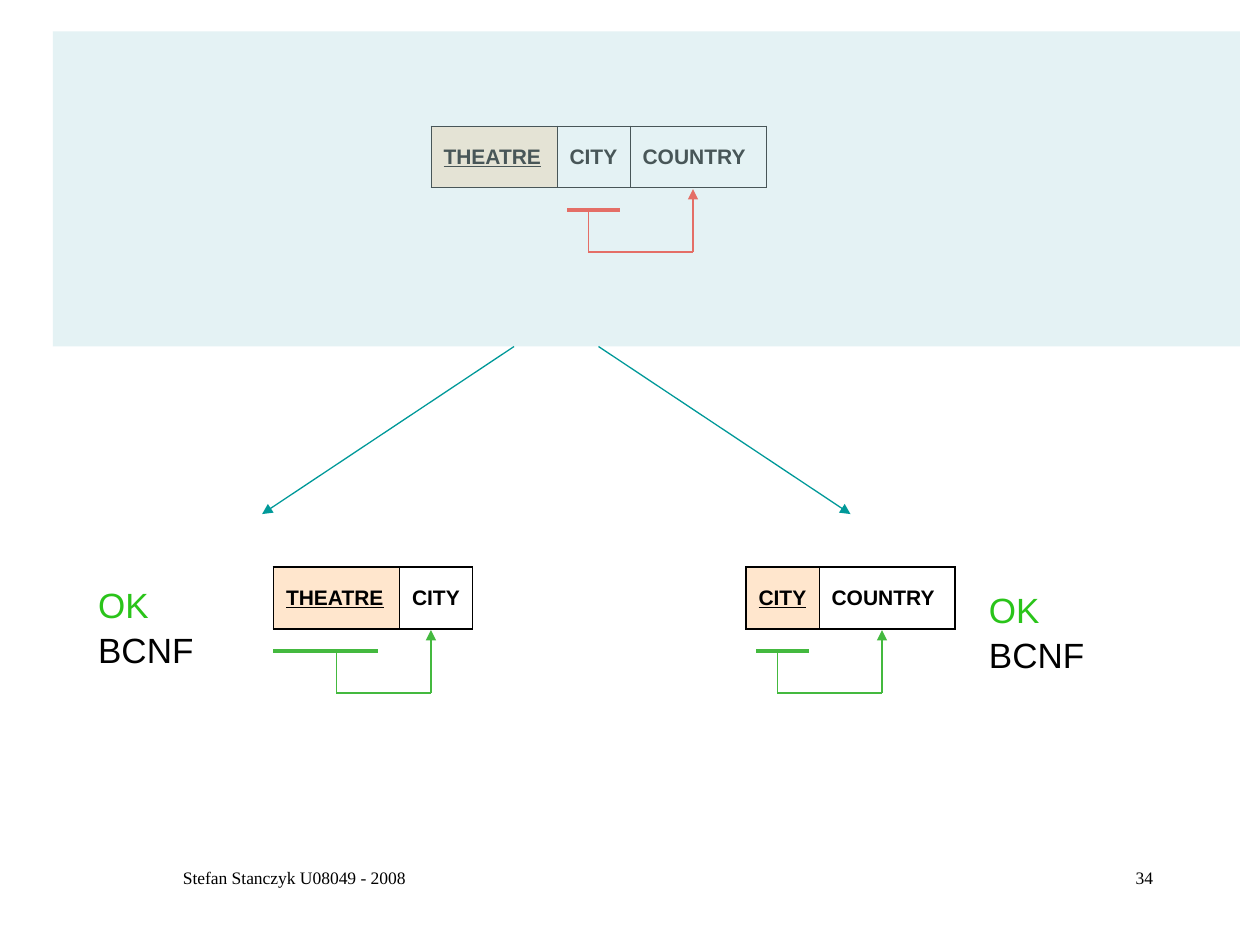
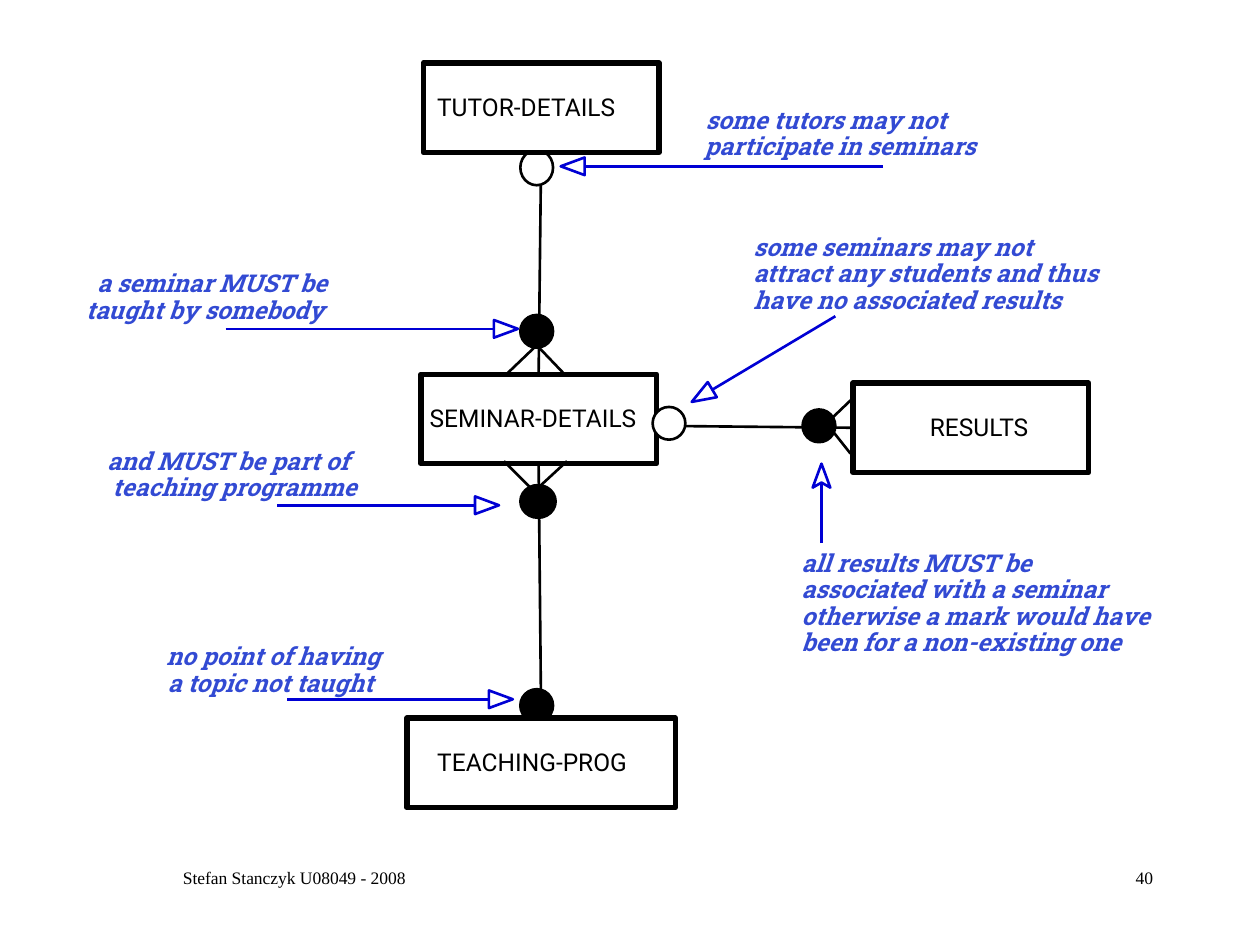
"""Build two database-design slides: a BCNF decomposition and an annotated entity diagram."""
from dataclasses import dataclass
from math import hypot

from pptx import Presentation
from pptx.dml.color import RGBColor
from pptx.enum.shapes import MSO_CONNECTOR as Link, MSO_SHAPE as Shape
from pptx.enum.text import MSO_ANCHOR as Anchor, MSO_AUTO_SIZE as AutoSize, PP_ALIGN as Align
from pptx.oxml.ns import qn
from pptx.util import Inches, Pt
from lxml.etree import SubElement


@dataclass(frozen=True)
class Theme:
    black: str = "000000"
    white: str = "FFFFFF"
    key_fill: str = "FFE6CD"
    broken: str = "FF2718"
    valid: str = "44B93F"
    ok: str = "2AC41A"
    band: str = "BBE0E3"
    split: str = "009999"
    arrow: str = "0000D4"
    note: str = "324AD3"
    thin: float = 0.75
    medium: float = 1.5
    bar: float = 2.25
    frame: float = 3.12
    inner: float = 0.45
    outer: float = 1.08


THEME = Theme()
FOOTER_FONT = {"name": "Times New Roman", "size": 10, "color": THEME.black}
COLUMN_FONT = {"name": "Arial", "size": 12, "bold": True, "color": THEME.black}
OK_FONT = {"name": "Arial", "size": 20, "color": THEME.ok}
GAP_FONT = {"name": "Times New Roman", "size": 28, "color": THEME.valid}
BCNF_FONT = {"name": "Arial", "size": 20, "color": THEME.black}
ENTITY_FONT = {"name": "Roboto", "size": 14, "color": THEME.black}
NOTE_FONT = {"name": "Roboto Slab", "size": 14, "bold": True, "italic": True, "color": THEME.note}

FOOTER = "Stefan Stanczyk U08049 - 2008"
COLUMN_WIDTHS = {"THEATRE": 1, "CITY": 0.58, "COUNTRY": 1.08}
SOURCE_RELATION = {"left": 3.42, "top": 1, "columns": ["THEATRE", "CITY", "COUNTRY"],
                   "bar": (4.5, 4.92), "stem": 4.67, "target": 5.5,
                   "color": THEME.broken, "outer": THEME.inner}
SPLIT_RELATIONS = [
    {"left": 2.17, "top": 4.5, "columns": ["THEATRE", "CITY"],
     "bar": (2.17, 3), "stem": 2.67, "target": 3.42, "color": THEME.valid, "outer": THEME.outer},
    {"left": 5.92, "top": 4.5, "columns": ["CITY", "COUNTRY"],
     "bar": (6, 6.42), "stem": 6.17, "target": 7, "color": THEME.valid, "outer": THEME.outer},
]
VERDICT_RUNS = [("OK", OK_FONT), (" ", GAP_FONT), ("BCNF", BCNF_FONT)]
VERDICT_PLACES = [(7.75, 4.51), (0.68, 4.47)]
SPLIT_ARROWS = [((4.08, 2.75), (2.08, 4.08)), ((4.75, 2.75), (6.75, 4.08))]

SEMINAR = ("SEMINAR-DETAILS", (3.34, 2.97, 1.87, 0.71), 0.07)
OTHER_ENTITIES = [
    ("RESULTS", (6.77, 3.04, 1.87, 0.71), 0.61),
    ("TEACHING-PROG", (3.23, 5.7, 2.13, 0.71), 0.24),
    ("TUTOR-DETAILS", (3.36, 0.5, 1.87, 0.71), 0.11),
]
RELATIONSHIPS = [
    {"start": (4.26, 1.21), "end": (4.26, 2.97),
     "begin_connect": ("TUTOR-DETAILS", 2), "end_connect": ("SEMINAR-DETAILS", 0)},
    {"start": (4.26, 3.68), "end": (4.26, 5.7),
     "begin_connect": ("SEMINAR-DETAILS", 2), "end_connect": ("TEACHING-PROG", 0)},
    {"start": (6.77, 3.38), "end": (5.25, 3.38), "begin_connect": ("RESULTS", 1)},
]
CROWS_FEET = [
    ((4.26, 2.74), [(4.02, 2.97), (4.48, 2.97)]),
    ((4.24, 3.9), [(4, 3.66), (4.5, 3.66)]),
    ((6.56, 3.36), [(6.75, 3.6), (6.8, 3.13)]),
]
OPTIONAL_ENDS = [(5.18, 3.23, 0.26, 0.26), (4.13, 1.19, 0.26, 0.28)]
MANDATORY_ENDS = [(6.37, 3.25, 0.26, 0.26), (4.13, 2.5, 0.26, 0.26),
                  (4.13, 3.85, 0.28, 0.26), (4.13, 5.47, 0.26, 0.26)]
NOTE_PITCH = 0.21
NOTES = [
    {"top": 0.83, "tail": (7.01, 1.32), "tip": (4.45, 1.32), "lines": [
        ("some tutors may not", 5.6, 2.11), ("participate in seminars", 5.59, 2.44)]},
    {"top": 5.09, "tail": (2.28, 5.55), "tip": (4.07, 5.55), "lines": [
        ("no point of having", 1.32, 1.89), ("a topic not taught", 1.33, 1.88)]},
    {"top": 3.54, "tail": (2.2, 4.01), "tip": (3.96, 4.01), "lines": [
        ("and MUST be part of", 0.85, 2.12), ("teaching programme", 0.89, 2.15)]},
    {"top": 1.84, "tail": (6.63, 2.51), "tip": (5.49, 3.19), "lines": [
        ("some seminars may not", 5.98, 2.43), ("attract any students and thus", 5.98, 3.19),
        ("have no associated results", 5.98, 2.75)]},
    {"top": 4.35, "tail": (6.52, 4.31), "tip": (6.52, 3.68), "notch": 0.15, "lines": [
        ("all results MUST be", 6.36, 2), ("associated with a seminar", 6.36, 2.74),
        ("otherwise a mark would have", 6.36, 3.13), ("been for a non-existing one", 6.36, 2.78)]},
    {"top": 2.13, "tail": (1.79, 2.61), "tip": (4.11, 2.61), "lines": [
        ("a seminar MUST be", 0.77, 2.05), ("taught by somebody", 0.68, 2.06)]},
]


def rgb(color):
    return RGBColor.from_string(color)


def write(paragraph, text, style, **extra):
    run = paragraph.add_run()
    run.text = text
    for attribute, value in {**style, **extra}.items():
        if attribute == "color":
            run.font.color.rgb = rgb(value)
        else:
            setattr(run.font, attribute, Pt(value) if attribute == "size" else value)


def set_insets(frame, left, top, right, bottom):
    insets = {"margin_left": left, "margin_top": top, "margin_right": right, "margin_bottom": bottom}
    for attribute, value in insets.items():
        setattr(frame, attribute, Inches(value))


def add_text(slide, place, runs, align=Align.LEFT, wrap=True, padded=True):
    frame = slide.shapes.add_textbox(*map(Inches, place)).text_frame
    frame.word_wrap = wrap
    if not wrap:
        frame.auto_size = AutoSize.SHAPE_TO_FIT_TEXT
    if not padded:
        set_insets(frame, 0, 0, 0, 0)
    paragraph = frame.paragraphs[0]
    paragraph.alignment = align
    for text, style in runs:
        write(paragraph, text, style)


def paint(shape, fill, line=None, width=THEME.medium):
    shape.shadow.inherit = False
    shape.fill.solid()
    shape.fill.fore_color.rgb = rgb(fill)
    if line:
        shape.line.color.rgb = rgb(line)
        shape.line.width = Pt(width)
    else:
        shape.line.fill.background()


def add_line(slide, start, end, color, width, arrow=False):
    line = slide.shapes.add_connector(Link.STRAIGHT, *map(Inches, (*start, *end)))
    line.line.color.rgb = rgb(color)
    line.line.width = Pt(width)
    properties = line._element.spPr
    if arrow:
        SubElement(properties.find(qn("a:ln")), qn("a:tailEnd"), type="triangle")
    SubElement(properties, qn("a:effectLst"))
    return line


def set_borders(cell, widths):
    properties = cell._tc.get_or_add_tcPr()
    for position, (side, width) in enumerate(widths.items()):
        border = SubElement(properties, qn(f"a:ln{side}"), w=str(Pt(width)))
        SubElement(SubElement(border, qn("a:solidFill")), qn("a:srgbClr"), val=THEME.black)
        properties.insert(position, border)


def add_relation(slide, relation):
    columns, top, outer = relation["columns"], relation["top"], relation["outer"]
    widths = [COLUMN_WIDTHS[column] for column in columns]
    place = (relation["left"], top, sum(widths), 0.49)
    table = slide.shapes.add_table(1, len(columns), *map(Inches, place)).table
    table.first_row = table.horz_banding = False
    for index, (column, width) in enumerate(zip(columns, widths)):
        table.columns[index].width = Inches(width)
        cell = table.cell(0, index)
        cell.vertical_anchor = Anchor.MIDDLE
        is_key = index == 0
        if is_key:
            cell.fill.solid()
            cell.fill.fore_color.rgb = rgb(THEME.key_fill)
        else:
            cell.fill.background()
        set_borders(cell, {"L": outer if is_key else THEME.inner,
                           "R": outer if index == len(columns) - 1 else THEME.inner,
                           "T": outer, "B": outer})
        write(cell.text_frame.paragraphs[0], column, COLUMN_FONT, underline=is_key)

    bar_y, floor_y, tip_y = top + 0.67, top + 1, top + 0.5
    (bar_left, bar_right), stem, target = relation["bar"], relation["stem"], relation["target"]
    color = relation["color"]
    add_line(slide, (target, floor_y), (target, tip_y), color, THEME.thin, arrow=True)
    add_line(slide, (bar_left, bar_y), (bar_right, bar_y), color, THEME.bar)
    add_line(slide, (stem, floor_y), (target, floor_y), color, THEME.thin)
    add_line(slide, (stem, bar_y), (stem, floor_y), color, THEME.thin)


def add_entity(slide, name, place, indent):
    entity = slide.shapes.add_shape(Shape.RECTANGLE, *map(Inches, place))
    paint(entity, THEME.white, THEME.black, THEME.frame)
    frame = entity.text_frame
    frame.word_wrap = True
    frame.vertical_anchor = Anchor.MIDDLE
    set_insets(frame, indent, 0, 0, 0.02)
    frame.paragraphs[0].alignment = Align.LEFT
    write(frame.paragraphs[0], name, ENTITY_FONT)
    return entity


def add_note(slide, note, length=0.19, half_width=0.07):
    (tail_x, tail_y), (tip_x, tip_y) = note["tail"], note["tip"]
    span = hypot(tail_x - tip_x, tail_y - tip_y)
    back_x, back_y = (tail_x - tip_x) / span, (tail_y - tip_y) / span

    def behind(distance, offset=0):
        return (tip_x + distance * back_x - offset * back_y,
                tip_y + distance * back_y + offset * back_x)

    notch = behind(note.get("notch", length))
    add_line(slide, note["tail"], notch, THEME.arrow, THEME.medium)
    outline = [behind(length, half_width), notch, behind(length, -half_width)]
    builder = slide.shapes.build_freeform(Inches(tip_x), Inches(tip_y))
    builder.add_line_segments([(Inches(x), Inches(y)) for x, y in outline], close=True)
    paint(builder.convert_to_shape(), THEME.white, THEME.arrow)
    for row, (text, left, width) in enumerate(note["lines"]):
        place = (left, note["top"] + row * NOTE_PITCH, width, 0.23)
        add_text(slide, place, [(text, NOTE_FONT)], padded=False)


def add_footer(slide, number):
    add_text(slide, (0.75, 6.83, 3.17, 0.5), [(FOOTER, FOOTER_FONT)], Align.CENTER)
    add_text(slide, (7.17, 6.83, 2.08, 0.5), [(number, FOOTER_FONT)], Align.RIGHT)


def build_decomposition(slide):
    add_relation(slide, SOURCE_RELATION)
    for relation in SPLIT_RELATIONS:
        add_relation(slide, relation)
    for left, top in VERDICT_PLACES:
        add_text(slide, (left, top, 1.45, 0.57), VERDICT_RUNS, wrap=False)
    band = slide.shapes.add_shape(Shape.RECTANGLE, *map(Inches, (0.42, 0.25, 9.42, 2.5)))
    paint(band, THEME.band)
    band_color = band._element.spPr.find(qn("a:solidFill"))[0]
    SubElement(band_color, qn("a:alpha"), val="39000")
    for start, end in SPLIT_ARROWS:
        add_line(slide, start, end, THEME.split, THEME.thin, arrow=True)


def build_entity_diagram(slide):
    entities = {SEMINAR[0]: add_entity(slide, *SEMINAR)}
    links = [add_line(slide, link["start"], link["end"], THEME.black, THEME.medium)
             for link in RELATIONSHIPS]
    for apex, toes in CROWS_FEET:
        for toe in toes:
            add_line(slide, apex, toe, THEME.black, THEME.medium)
    for places, fill in ((OPTIONAL_ENDS, THEME.white), (MANDATORY_ENDS, THEME.black)):
        for place in places:
            paint(slide.shapes.add_shape(Shape.OVAL, *map(Inches, place)), fill, THEME.black)
    for note in NOTES:
        add_note(slide, note)
    for entity in OTHER_ENTITIES:
        entities[entity[0]] = add_entity(slide, *entity)
    for line, link in zip(links, RELATIONSHIPS):
        for join in ("begin_connect", "end_connect"):
            if join in link:
                name, side = link[join]
                getattr(line, join)(entities[name], side)


def main():
    deck = Presentation()
    deck.slide_width, deck.slide_height = Inches(10), Inches(7.5)
    blank = deck.slide_layouts[6]
    for build, number in ((build_decomposition, "34"), (build_entity_diagram, "40")):
        slide = deck.slides.add_slide(blank)
        build(slide)
        add_footer(slide, number)
    deck.save("out.pptx")


if __name__ == "__main__":
    main()
